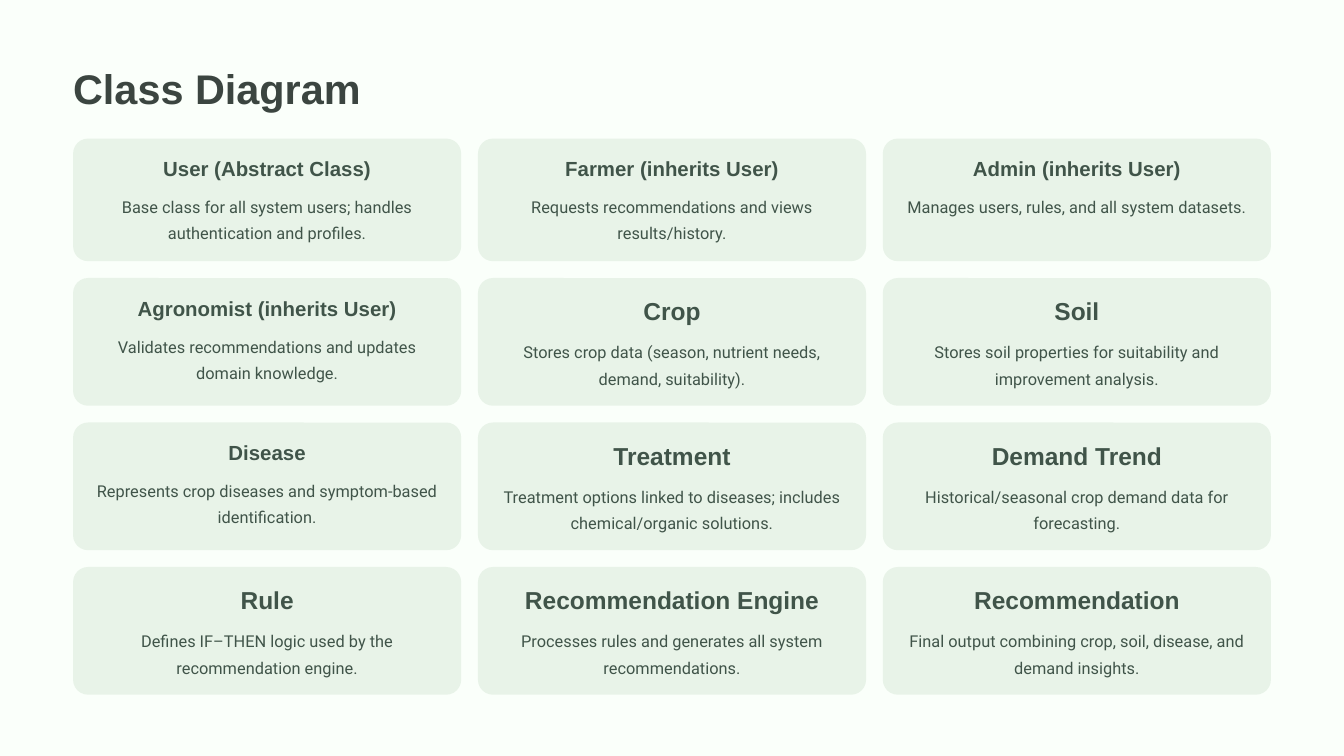
"""Build the Class Diagram slide: a titled grid of twelve class cards."""
from pptx import Presentation
from pptx.dml.color import RGBColor
from pptx.enum.shapes import MSO_SHAPE
from pptx.enum.text import MSO_ANCHOR, MSO_AUTO_SIZE, PP_ALIGN
from pptx.util import Inches, Pt

TITLE = "Class Diagram"
SMALL, LARGE = (17.5, 22, 0.31, 0.42), (21, 26.5, 0.37, 0.49)
ROWS = [
    (1.46, [
        ("User (Abstract Class)", SMALL, 2.65,
         "Base class for all system users; handles authentication and profiles."),
        ("Farmer (inherits User)", SMALL, 2.82,
         "Requests recommendations and views results/history."),
        ("Admin (inherits User)", SMALL, 2.73,
         "Manages users, rules, and all system datasets."),
    ]),
    (1.52, [
        ("Agronomist (inherits User)", SMALL, 3.38,
         "Validates recommendations and updates domain knowledge."),
        ("Crop", LARGE, 2.98,
         "Stores crop data (season, nutrient needs, demand, suitability)."),
        ("Soil", LARGE, 2.98,
         "Stores soil properties for suitability and improvement analysis."),
    ]),
    (1.52, [
        ("Disease", SMALL, 2.48,
         "Represents crop diseases and symptom-based identification."),
        ("Treatment", LARGE, 2.98,
         "Treatment options linked to diseases; includes chemical/organic solutions."),
        ("Demand Trend", LARGE, 2.98,
         "Historical/seasonal crop demand data for forecasting."),
    ]),
    (1.52, [
        ("Rule", LARGE, 2.98,
         "Defines IF–THEN logic used by the recommendation engine."),
        ("Recommendation Engine", LARGE, 2.98 + 0.76,
         "Processes rules and generates all system recommendations."),
        ("Recommendation", LARGE, 2.98,
         "Final output combining crop, soil, disease, and demand insights."),
    ]),
]
COLORS = {"back": "FAFFFA", "card": "E8F3E8", "title": "3B4540", "text": "405449"}
LEFT, TOP, WIDTH, GAP, PAD, RADIUS = 0.87, 1.65, 4.62, 0.2, 0.2, 0.178


def color(name):
    return RGBColor.from_string(COLORS[name])


def write(box, text, size, line, font, tint, bold, align, wrap):
    frame = box.text_frame
    frame.text = text
    frame.word_wrap = wrap
    frame.auto_size = MSO_AUTO_SIZE.NONE
    frame.vertical_anchor = MSO_ANCHOR.TOP
    frame.margin_left = frame.margin_right = 0
    frame.margin_top = frame.margin_bottom = 0
    par = frame.paragraphs[0]
    par.alignment = align
    par.line_spacing = Pt(line)
    par.space_before = Pt(0)
    par.font.name = font
    par.font.size = Pt(size)
    par.font.bold = bold
    par.font.color.rgb = color(tint)


def add_card(shapes, x, y, high, name, style, wide, about):
    card = shapes.add_shape(MSO_SHAPE.ROUNDED_RECTANGLE, Inches(x), Inches(y),
                            Inches(WIDTH), Inches(high))
    card.adjustments[0] = round(RADIUS / high, 3)
    card.shadow.inherit = False
    card.fill.solid()
    card.fill.fore_color.rgb = color("card")
    card.line.fill.background()

    size, line, tall, step = style
    head = shapes.add_textbox(Inches(x + (WIDTH - wide) / 2), Inches(y + PAD),
                              Inches(wide), Inches(tall))
    write(head, name, size, line, "Arial", "text", True, PP_ALIGN.CENTER, False)
    body = shapes.add_textbox(Inches(x + PAD), Inches(y + PAD + step),
                              Inches(WIDTH - 2 * PAD), Inches(0.63))
    write(body, about, 14, 22.5, "Roboto", "text", False, PP_ALIGN.CENTER, True)


def main():
    deck = Presentation()
    deck.slide_width, deck.slide_height = Inches(16), Inches(9)
    slide = deck.slides.add_slide(deck.slide_layouts[5])
    slide.background.fill.solid()
    slide.background.fill.fore_color.rgb = color("back")

    title = slide.shapes.title
    title.left, title.top = Inches(LEFT), Inches(0.73)
    title.width, title.height = Inches(4.96), Inches(0.62)
    write(title, TITLE, 35.5, 44.5, "Arial", "title", True, PP_ALIGN.LEFT, False)

    y = TOP
    for high, cards in ROWS:
        for col, card in enumerate(cards):
            add_card(slide.shapes, LEFT + col * (WIDTH + GAP), y, high, *card)
        y += high + GAP
    deck.save("out.pptx")


if __name__ == "__main__":
    main()
